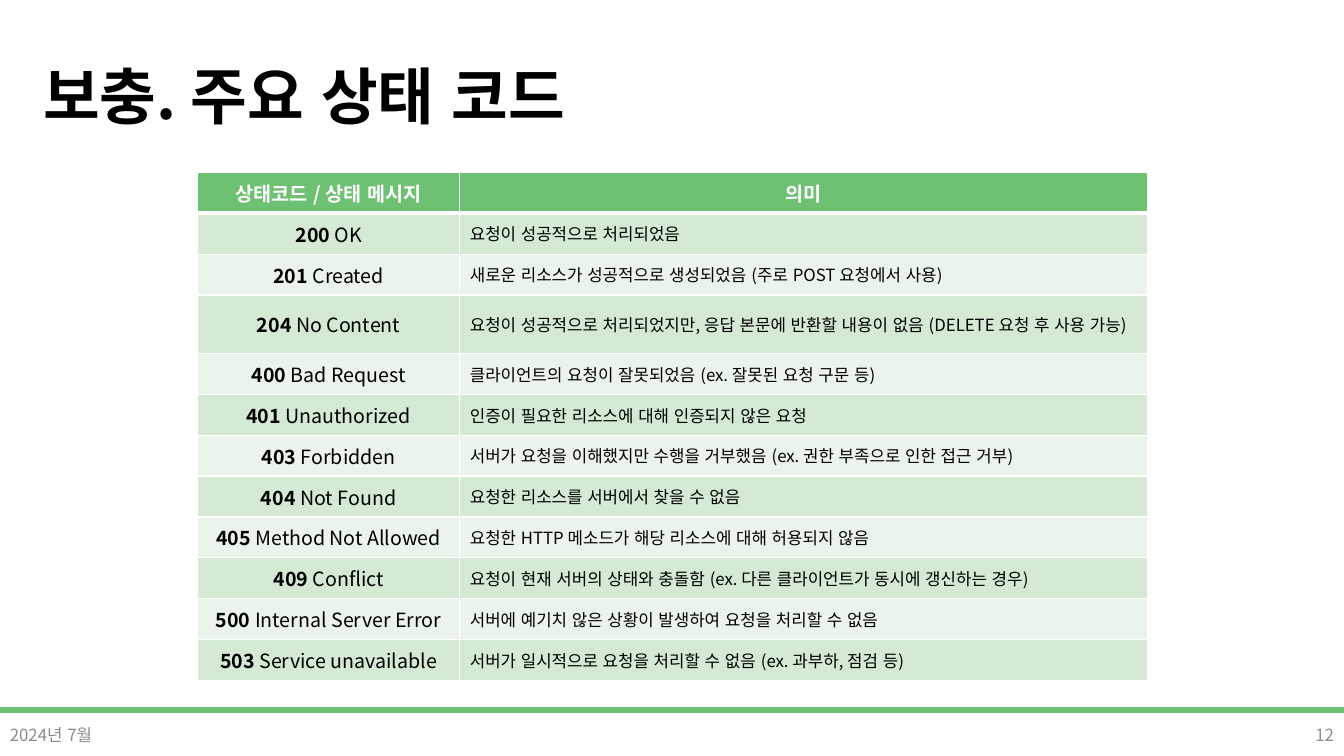
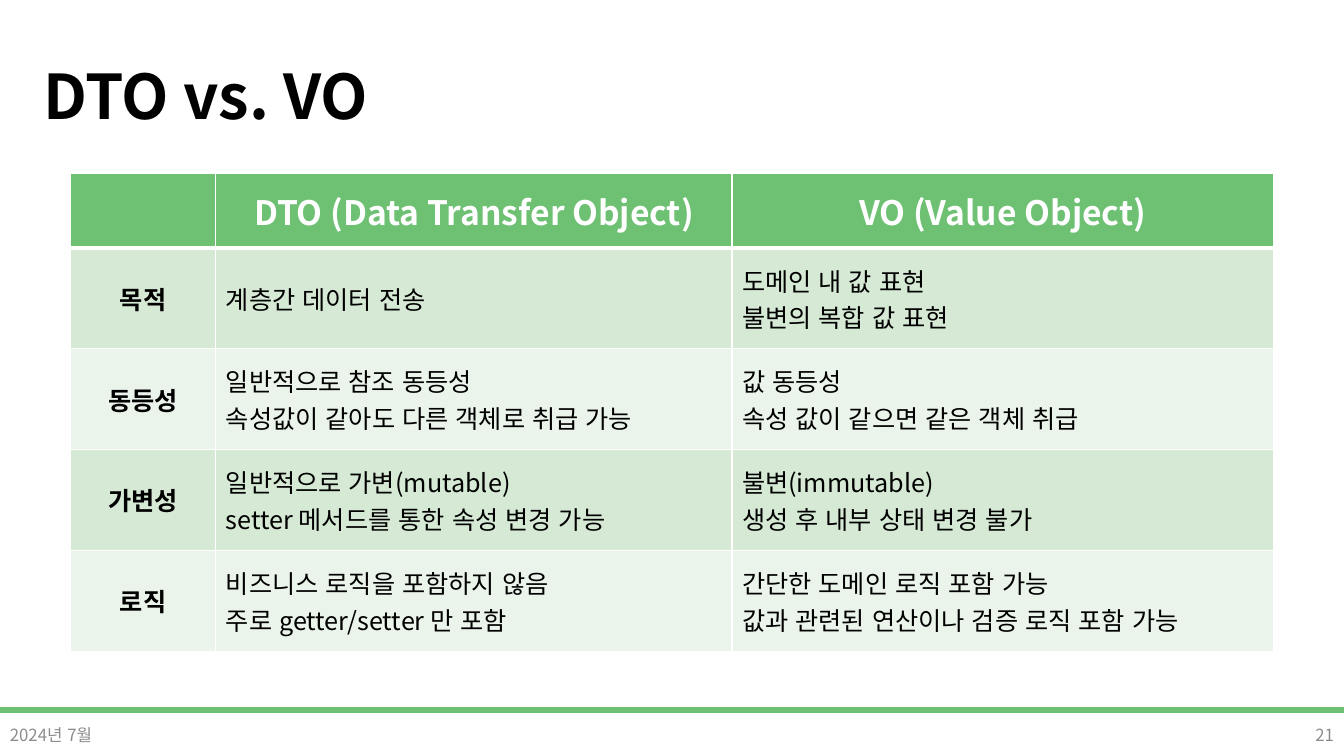
from dataclasses import dataclass

from lxml.etree import SubElement
from pptx import Presentation
from pptx.dml.color import RGBColor
from pptx.enum.lang import MSO_LANGUAGE_ID
from pptx.enum.shapes import MSO_SHAPE
from pptx.enum.text import MSO_ANCHOR, PP_ALIGN
from pptx.oxml.ns import qn
from pptx.slide import Slide
from pptx.table import Table
from pptx.text.text import TextFrame
from pptx.util import Inches, Pt

FACE = "Noto Sans CJK KR"
GREEN, DARK, PALE = "6EC173", "D5E9D5", "EBF4EB"
WHITE, BLACK, GRAY = "FFFFFF", "000000", "8C8C8C"
WIDTH, HEIGHT = 13.33, 7.5
LOW, TALL = 4.87 / 12, 0.58  # rows with one and two lines of text


@dataclass
class Style:
    size: float
    color: str = BLACK
    bold: bool = False
    align: PP_ALIGN = PP_ALIGN.LEFT
    lead: float = 1.0


@dataclass
class Grid:
    left: float
    top: float
    cols: list[float]
    rows: list[float]
    sizes: tuple[int, int, int]  # header, label, body
    cells: list[tuple[str, ...]]


@dataclass
class Page:
    title: str
    number: int
    grid: Grid


TITLE = Style(44, bold=True, lead=0.9)
NOTE = Style(12, GRAY)
FOLIO = Style(12, GRAY, align=PP_ALIGN.RIGHT)

CODES = Grid(1.96, 1.71, [2.6, 6.82], [LOW] * 3 + [TALL] + [LOW] * 8, (14, 14, 12), [
    ("상태코드 / 상태 메시지", "의미"),
    ("200 OK", "요청이 성공적으로 처리되었음"),
    ("201 Created", "새로운 리소스가 성공적으로 생성되었음 (주로 POST 요청에서 사용)"),
    ("204 No Content",
     "요청이 성공적으로 처리되었지만, 응답 본문에 반환할 내용이 없음 (DELETE 요청 후 사용 가능)"),
    ("400 Bad Request", "클라이언트의 요청이 잘못되었음 (ex. 잘못된 요청 구문 등)"),
    ("401 Unauthorized", "인증이 필요한 리소스에 대해 인증되지 않은 요청"),
    ("403 Forbidden", "서버가 요청을 이해했지만 수행을 거부했음 (ex. 권한 부족으로 인한 접근 거부)"),
    ("404 Not Found", "요청한 리소스를 서버에서 찾을 수 없음"),
    ("405 Method Not Allowed", "요청한 HTTP 메소드가 해당 리소스에 대해 허용되지 않음"),
    ("409 Conflict", "요청이 현재 서버의 상태와 충돌함 (ex. 다른 클라이언트가 동시에 갱신하는 경우)"),
    ("500 Internal Server Error", "서버에 예기치 않은 상황이 발생하여 요청을 처리할 수 없음"),
    ("503 Service unavailable", "서버가 일시적으로 요청을 처리할 수 없음 (ex. 과부하, 점검 등)"),
])

OBJECTS = Grid(0.7, 1.72, [1.44, 5.12, 5.37], [0.74] + [1] * 4, (24, 18, 18), [
    ("", "DTO (Data Transfer Object)", "VO (Value Object)"),
    ("목적", "계층간 데이터 전송", "도메인 내 값 표현\n불변의 복합 값 표현"),
    ("동등성", "일반적으로 참조 동등성\n속성값이 같아도 다른 객체로 취급 가능",
     "값 동등성\n속성 값이 같으면 같은 객체 취급"),
    ("가변성", "일반적으로 가변(mutable)\nsetter 메서드를 통한 속성 변경 가능",
     "불변(immutable)\n생성 후 내부 상태 변경 불가"),
    ("로직", "비즈니스 로직을 포함하지 않음\n주로 getter/setter 만 포함",
     "간단한 도메인 로직 포함 가능\n값과 관련된 연산이나 검증 로직 포함 가능"),
])

PAGES = [Page("보충. 주요 상태 코드", 12, CODES), Page("DTO vs. VO", 21, OBJECTS)]


def rgb(code: str) -> RGBColor:
    return RGBColor.from_string(code)


def write(frame: TextFrame, text: str, style: Style) -> None:
    frame.text = text
    for para in frame.paragraphs:
        para.alignment = style.align
        para.line_spacing = style.lead
        font = para.font
        font.name, font.size, font.bold = FACE, Pt(style.size), style.bold
        font.color.rgb = rgb(style.color)
        # Korean glyphs and line breaks
        font.language_id = MSO_LANGUAGE_ID.KOREAN
        base = para._p.pPr.find(qn("a:defRPr"))
        SubElement(base, qn("a:ea"), typeface=FACE)


def label(frame: TextFrame, text: str, size: float) -> None:
    """Write a centred label whose first word is bold."""
    head, gap, rest = text.partition(" ")
    write(frame, head, Style(size, align=PP_ALIGN.CENTER))
    para = frame.paragraphs[0]
    para.runs[0].font.bold = True
    if rest:
        para.add_run().text = gap + rest


def add_text(slide: Slide, box: tuple[float, float, float, float],
             text: str, style: Style) -> None:
    frame = slide.shapes.add_textbox(*map(Inches, box)).text_frame
    frame.word_wrap = True
    frame.vertical_anchor = MSO_ANCHOR.MIDDLE
    write(frame, text, style)


def paint(table: Table, row: int, col: int) -> None:
    """Set the borders and fill of one cell."""
    cell = table.cell(row, col)
    cell.vertical_anchor = MSO_ANCHOR.MIDDLE
    props = cell._tc.get_or_add_tcPr()
    thick = {(0, "B"), (1, "T")}
    for side in "LRTB":
        width = Pt(3 if (row, side) in thick else 1)
        line = SubElement(props, qn(f"a:ln{side}"), w=str(width))
        fill = SubElement(line, qn("a:solidFill"))
        SubElement(fill, qn("a:srgbClr"), val=WHITE)
    cell.fill.solid()
    shade = GREEN if row == 0 else DARK if row % 2 else PALE
    cell.fill.fore_color.rgb = rgb(shade)


def add_grid(slide: Slide, grid: Grid) -> None:
    box = (grid.left, grid.top, sum(grid.cols), sum(grid.rows))
    table = slide.shapes.add_table(
        len(grid.rows), len(grid.cols), *map(Inches, box)).table
    table.horz_banding = False
    for col, width in zip(table.columns, grid.cols):
        col.width = Inches(width)
    for row, height in zip(table.rows, grid.rows):
        row.height = Inches(height)

    top, side, body = grid.sizes
    for row, texts in enumerate(grid.cells):
        for col, text in enumerate(texts):
            paint(table, row, col)
            frame = table.cell(row, col).text_frame
            if row == 0:
                write(frame, text, Style(top, WHITE, True, PP_ALIGN.CENTER))
            elif col == 0:
                label(frame, text, side)
            else:
                write(frame, text, Style(body))


def add_frame(slide: Slide, page: Page) -> None:
    """Draw the title, band and footer that every slide has."""
    band = slide.shapes.add_shape(
        MSO_SHAPE.RECTANGLE, Inches(0), Inches(7.02), Inches(WIDTH), Inches(0.05))
    band.shadow.inherit = False
    band.fill.solid()
    band.fill.fore_color.rgb = band.line.color.rgb = rgb(GREEN)
    band.line.width = Pt(1)
    add_text(slide, (0.33, 0.26, 11.5, 1.45), page.title, TITLE)
    add_text(slide, (0, 7.09, 3, 0.4), "2024년 7월", NOTE)
    add_text(slide, (WIDTH - 3, 7.09, 3, 0.4), str(page.number), FOLIO)


def main() -> None:
    deck = Presentation()
    deck.slide_width, deck.slide_height = Inches(WIDTH), Inches(HEIGHT)
    for page in PAGES:
        slide = deck.slides.add_slide(deck.slide_layouts[6])
        add_frame(slide, page)
        add_grid(slide, page.grid)
    deck.save("out.pptx")


if __name__ == "__main__":
    main()
